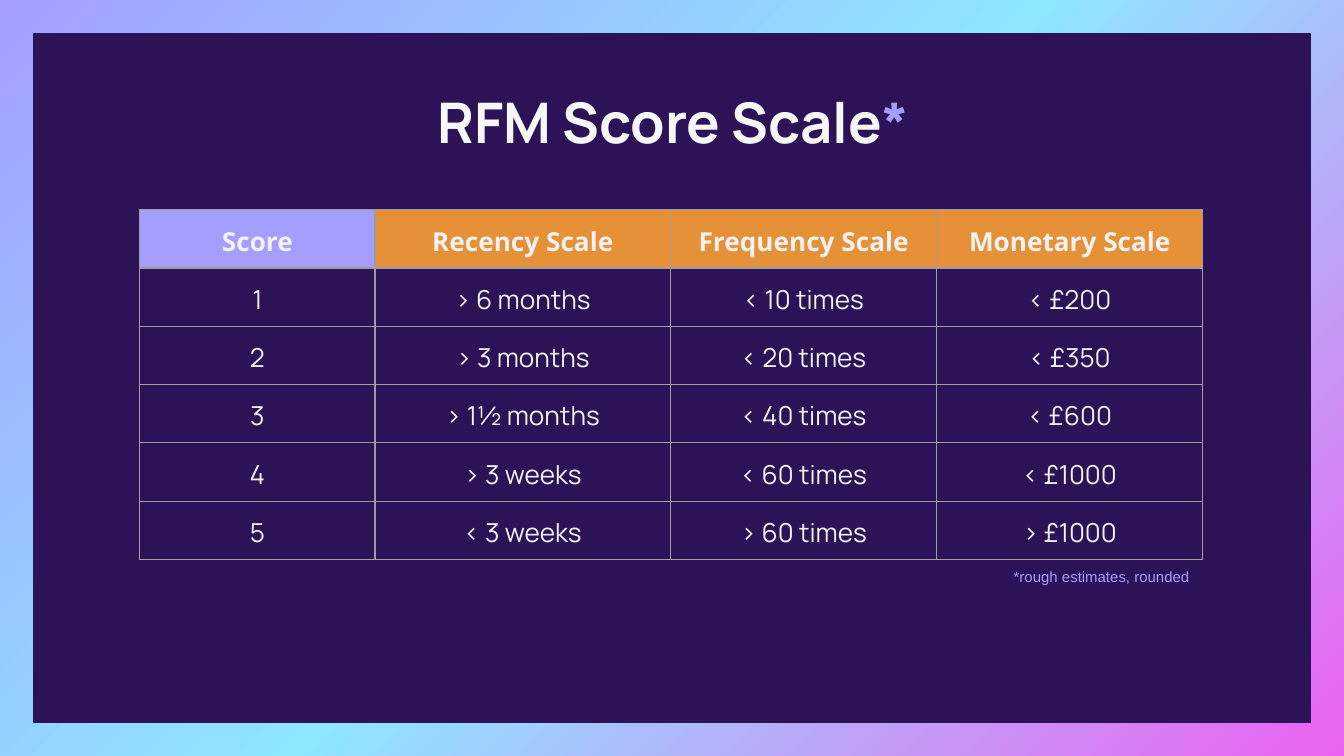
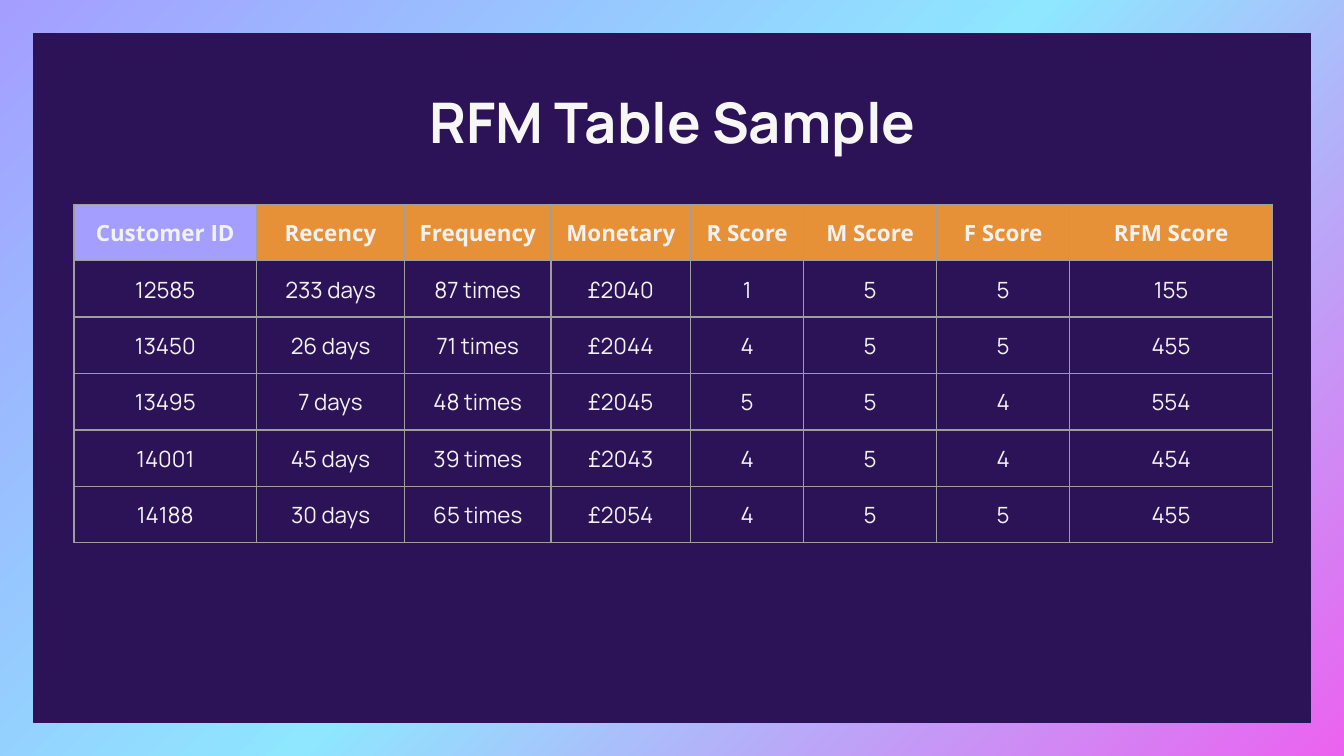
from copy import deepcopy
from dataclasses import dataclass

from lxml import etree
from pptx import Presentation
from pptx import util as u
from pptx.dml.color import RGBColor
from pptx.enum import shapes, text
from pptx.oxml.ns import qn


@dataclass(frozen=True)
class Theme:
    width: float = 10
    height: float = 10 * 9 / 16
    border: float = 0.25
    panel: str = "2C1256"
    title: str = "F7F7F5"
    cell: str = "F2F2F2"
    lilac: str = "A49EFF"
    orange: str = "E69138"
    grid: str = "9E9E9E"
    gradient: tuple = ((0, "A49EFF"), (0.5, "8EE6FF"), (1, "EB62F0"))
    body_font: str = "Manrope"
    head_font: str = "Open Sans"
    note_font: str = "Arial"
    title_size: int = 30
    note_size: int = 8
    line_width: float = 0.75
    inset: float = 0.1
    row_height: float = 0.42
    frame: float = 3.28


T = Theme()
ALIGN = text.PP_ALIGN
ANCHOR = text.MSO_ANCHOR

SCALE = [
    ["Score", "Recency Scale", "Frequency Scale", "Monetary Scale"],
    ["1", "> 6 months", "< 10 times", "< £200"],
    ["2", "> 3 months", "< 20 times", "< £350"],
    ["3", "> 1½ months", "< 40 times", "< £600"],
    ["4", "> 3 weeks", "< 60 times", "< £1000"],
    ["5", "< 3 weeks", "> 60 times", "> £1000"],
]
SAMPLE = [
    ["Customer ID", "Recency", "Frequency", "Monetary",
     "R Score", "M Score", "F Score", "RFM Score"],
    ["12585", "233 days", "87 times", "£2040", "1", "5", "5", "155"],
    ["13450", "26 days", "71 times", "£2044", "4", "5", "5", "455"],
    ["13495", "7 days", "48 times", "£2045", "5", "5", "4", "554"],
    ["14001", "45 days", "39 times", "£2043", "4", "5", "4", "454"],
    ["14188", "30 days", "65 times", "£2054", "4", "5", "5", "455"],
]


def rgb(value):
    return RGBColor.from_string(value)


def box(*lengths):
    return [u.Inches(n) for n in lengths]


def set_all(obj, values):
    for name, value in values.items():
        setattr(obj, name, value)


def set_insets(obj):
    set_all(obj, {f"margin_{side}": u.Inches(T.inset)
                  for side in ("left", "top", "right", "bottom")})


def add_run(p, content, font, size, color, bold=False):
    r = p.add_run()
    r.text = content
    set_all(r.font, {"name": font, "size": u.Pt(size), "bold": bold})
    r.font.color.rgb = rgb(color)


def add_text(s, at, align, anchor, runs):
    tf = s.shapes.add_textbox(*box(*at)).text_frame
    set_all(tf, {"word_wrap": True, "vertical_anchor": anchor})
    set_insets(tf)
    p = tf.paragraphs[0]
    p.alignment = align
    for run in runs:
        add_run(p, *run)
    return tf


def set_background(s):
    fill = s.background.fill
    fill.gradient()
    fill.gradient_angle = 315
    stops = s.element.xpath(".//a:gsLst")[0]
    stops.append(deepcopy(stops[0]))
    for stop, (position, color) in zip(fill.gradient_stops, T.gradient):
        stop.position = position
        stop.color.rgb = rgb(color)


def add_panel(s):
    at = box(T.border, T.border, T.width - 2 * T.border, T.height - 2 * T.border)
    sp = s.shapes.add_shape(shapes.MSO_SHAPE.RECTANGLE, *at)
    sp.shadow.inherit = False
    sp.fill.solid()
    sp.fill.fore_color.rgb = sp.line.color.rgb = rgb(T.panel)
    sp.line.width = u.Pt(T.line_width)


def add_slide(prs, title, mark=""):
    s = prs.slides.add_slide(prs.slide_layouts[6])
    set_background(s)
    add_panel(s)
    runs = [(part, T.body_font, T.title_size, color, True)
            for part, color in ((title, T.title), (mark, T.lilac)) if part]
    add_text(s, (0.79, 0.59, 8.43, 0.62), ALIGN.CENTER, ANCHOR.MIDDLE, runs)
    return s


def add_borders(cell):
    tc_pr = cell._tc.get_or_add_tcPr()
    for side in "LRTB":
        ln = etree.SubElement(tc_pr, qn(f"a:ln{side}"), w=str(u.Pt(T.line_width)))
        fill = etree.SubElement(ln, qn("a:solidFill"))
        etree.SubElement(fill, qn("a:srgbClr"), val=T.grid)


def fill_cell(cell, content, size, is_header, is_first):
    set_insets(cell)
    add_borders(cell)
    if is_header:
        cell.fill.solid()
        cell.fill.fore_color.rgb = rgb(T.lilac if is_first else T.orange)
    else:
        cell.fill.background()
    p = cell.text_frame.paragraphs[0]
    set_all(p, {"alignment": ALIGN.CENTER, "line_spacing": 1.0})
    font = T.head_font if is_header else T.body_font
    add_run(p, content, font, size, T.cell, is_header)


def add_table(s, left, top, widths, rows, size):
    at = box(left, top, T.frame, T.frame)
    frame = s.shapes.add_table(len(rows), len(widths), *at)
    table = frame.table
    set_all(table, {"first_row": False, "horz_banding": False})
    for column, width in zip(table.columns, widths):
        column.width = u.Inches(width)
    for i, row in enumerate(rows):
        table.rows[i].height = u.Inches(T.row_height)
        for j, content in enumerate(row):
            fill_cell(table.cell(i, j), content, size, i == 0, j == 0)
    set_all(frame, {"width": u.Inches(T.frame), "height": u.Inches(T.frame)})


def main():
    prs = Presentation()
    set_all(prs, {"slide_width": u.Inches(T.width), "slide_height": u.Inches(T.height)})

    s = add_slide(prs, "RFM Score Scale", "*")
    add_table(s, 1.04, 1.56, [1.75, 2.2, 1.98, 1.98], SCALE, 14)
    note = add_text(s, (6.44, 4.16, 2.51, 0.34), ALIGN.RIGHT, ANCHOR.TOP,
                    [("*rough estimates, rounded", T.note_font, T.note_size, T.lilac)])
    note.auto_size = text.MSO_AUTO_SIZE.SHAPE_TO_FIT_TEXT

    s = add_slide(prs, "RFM Table Sample")
    add_table(s, 0.55, 1.52, [1.36, 1.1, 1.09, 1.04, 0.84, 0.99, 0.99, 1.51],
              SAMPLE, 12)

    prs.save("out.pptx")


if __name__ == "__main__":
    main()
